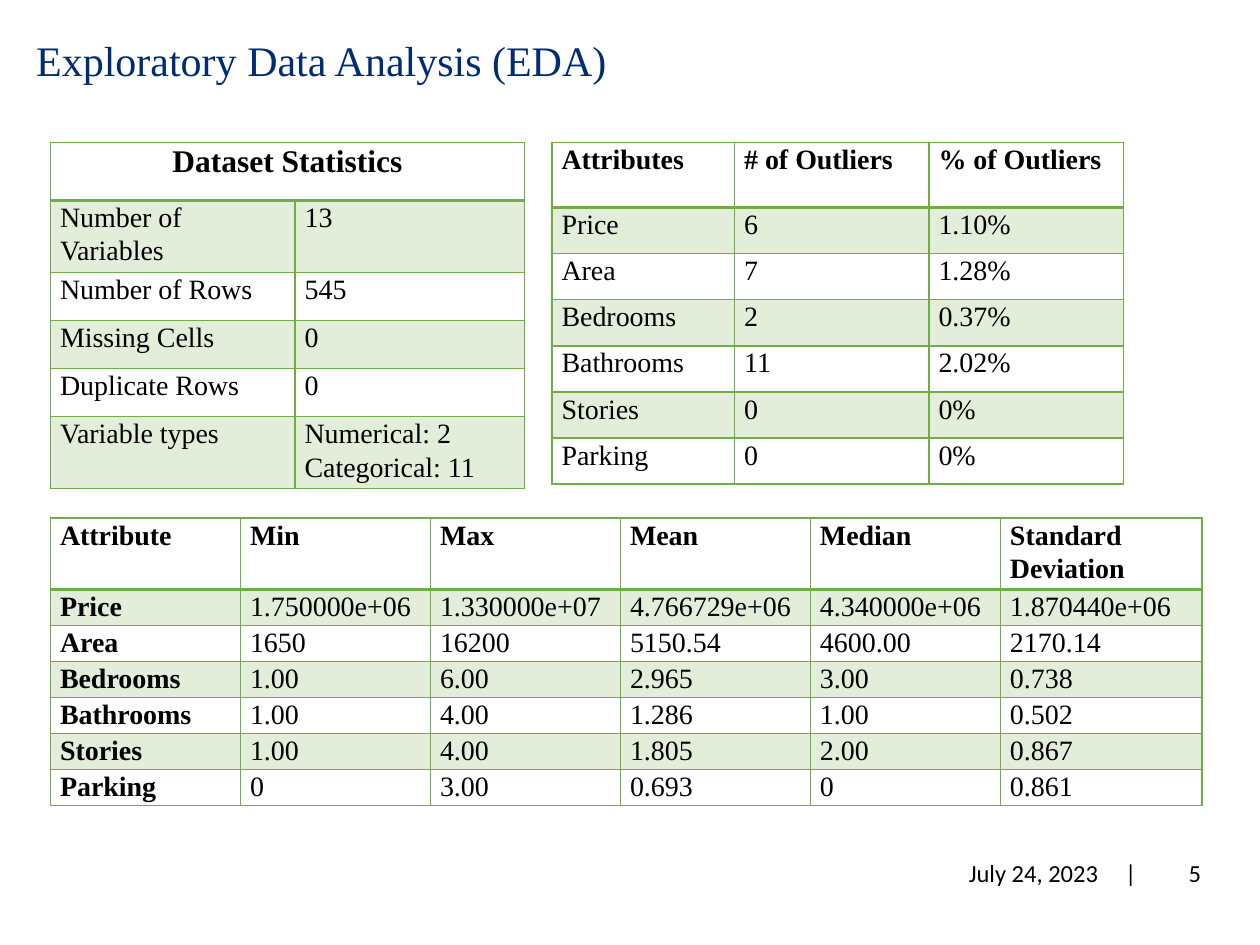
from lxml.etree import SubElement
from pptx import Presentation
from pptx.dml.color import RGBColor
from pptx.enum.text import MSO_ANCHOR, PP_ALIGN
from pptx.oxml.ns import qn
from pptx.util import Cm, Pt

COLORS = {"title": "002D72", "text": "000000", "green": "70AD47"}
SERIF, SANS = "Times New Roman", "Calibri"

TITLE = "Exploratory Data Analysis (EDA)"
DATE = "July 24, 2023\t|"
PAGE = "5"

STATISTICS = {
    "place": (1.02, 2.87), "columns": [4.93, 4.62], "rows": [1.17] + [0.97] * 5,
    "header_size": 18, "bold_labels": False,
    "cells": [
        ["Dataset Statistics"],
        ["Number of Variables", "13"],
        ["Number of Rows", "545"],
        ["Missing Cells", "0"],
        ["Duplicate Rows", "0"],
        ["Variable types", "Numerical: 2\nCategorical: 11"],
    ],
}
OUTLIERS = {
    "place": (11.13, 2.87), "columns": [3.68, 3.92, 3.92], "rows": [1.31] + [0.93] * 6,
    "header_size": 16, "bold_labels": False,
    "cells": [
        ["Attributes", "# of Outliers", "% of Outliers"],
        ["Price", "6", "1.10%"],
        ["Area", "7", "1.28%"],
        ["Bedrooms", "2", "0.37%"],
        ["Bathrooms", "11", "2.02%"],
        ["Stories", "0", "0%"],
        ["Parking", "0", "0%"],
    ],
}
SUMMARY = {
    "place": (1.02, 10.44), "columns": [3.83] * 5 + [4.06], "rows": [0.71] * 7,
    "header_size": 16, "bold_labels": True,
    "cells": [
        ["Attribute", "Min", "Max", "Mean", "Median", "Standard Deviation"],
        ["Price", "1.750000e+06", "1.330000e+07", "4.766729e+06", "4.340000e+06", "1.870440e+06"],
        ["Area", "1650", "16200", "5150.54", "4600.00", "2170.14"],
        ["Bedrooms", "1.00", "6.00", "2.965", "3.00", "0.738"],
        ["Bathrooms", "1.00", "4.00", "1.286", "1.00", "0.502"],
        ["Stories", "1.00", "4.00", "1.805", "2.00", "0.867"],
        ["Parking", "0", "3.00", "0.693", "0", "0.861"],
    ],
}


def style(paragraph, font_name, size, color, bold=False):
    font = paragraph.font
    font.name, font.size, font.bold = font_name, Pt(size), bold
    font.color.rgb = RGBColor.from_string(COLORS[color])


def add_text(slide, place, text, font_name, size, color, align=PP_ALIGN.LEFT,
             left_inset=0.25, tab=None):
    frame = slide.shapes.add_textbox(*map(Cm, place)).text_frame
    frame.word_wrap = True
    frame.vertical_anchor = MSO_ANCHOR.MIDDLE
    frame.margin_left = Cm(left_inset)
    paragraph = frame.paragraphs[0]
    paragraph.text = text
    paragraph.alignment = align
    if tab:
        stops = SubElement(paragraph._p.get_or_add_pPr(), qn("a:tabLst"))
        SubElement(stops, qn("a:tab"), pos=str(Cm(tab)), algn="l")
    style(paragraph, font_name, size, color)
    return paragraph


def set_borders(cell, widths):
    properties = cell._tc.get_or_add_tcPr()
    for side, width in widths.items():
        line = SubElement(properties, qn(f"a:ln{side}"), w=str(Pt(width)))
        fill = SubElement(line, qn("a:solidFill"))
        SubElement(fill, qn("a:srgbClr"), val=COLORS["green"])


def set_band(cell, shaded):
    if not shaded:
        cell.fill.background()
        return
    cell.fill.solid()
    cell.fill.fore_color.rgb = RGBColor.from_string(COLORS["green"])
    tint = cell._tc.tcPr.find(f"{qn('a:solidFill')}/{qn('a:srgbClr')}")
    SubElement(tint, qn("a:alpha"), val="20000")


def add_grid(slide, content):
    columns, rows, cells = content["columns"], content["rows"], content["cells"]
    size = (sum(columns), sum(rows))
    table = slide.shapes.add_table(len(rows), len(columns),
                                   *map(Cm, content["place"] + size)).table
    table.first_row = table.horz_banding = False
    for column, width in zip(table.columns, columns):
        column.width = Cm(width)
    for r, (row, height) in enumerate(zip(table.rows, rows)):
        row.height = Cm(height)
        for c, cell in enumerate(row.cells):
            cell.margin_left = cell.margin_right = Cm(0.19)
            cell.margin_top = cell.margin_bottom = 0
            set_borders(cell, {"L": 1, "R": 1, "T": 2 if r == 1 else 1, "B": 2 if r == 0 else 1})
            set_band(cell, r % 2 == 1)
            if c < len(cells[r]):
                paragraph = cell.text_frame.paragraphs[0]
                paragraph.text = cells[r][c]
                paragraph.line_spacing = 1.07
                bold = r == 0 or (c == 0 and content["bold_labels"])
                style(paragraph, SERIF, content["header_size"] if r == 0 else 16, "text", bold)
    if len(cells[0]) == 1:
        heading = table.cell(0, 0)
        heading.merge(table.cell(0, len(columns) - 1))
        heading.text_frame.paragraphs[0].alignment = PP_ALIGN.CENTER


def main():
    deck = Presentation()
    deck.slide_width, deck.slide_height = Cm(25.4), Cm(19.05)
    slide = deck.slides.add_slide(deck.slide_layouts[6])
    title = add_text(slide, (0.48, 0.74, 13.23, 1.07), TITLE, SERIF, 24, "title")
    title.line_spacing = 0.9
    add_grid(slide, STATISTICS)
    add_text(slide, (22.63, 17.09, 1.83, 1.02), PAGE, SANS, 14, "text", PP_ALIGN.RIGHT)
    add_grid(slide, OUTLIERS)
    add_grid(slide, SUMMARY)
    add_text(slide, (16.31, 17.09, 6.88, 1.02), DATE, SANS, 14, "text",
             left_inset=3.22, tab=3.15)
    deck.save("out.pptx")


if __name__ == "__main__":
    main()
